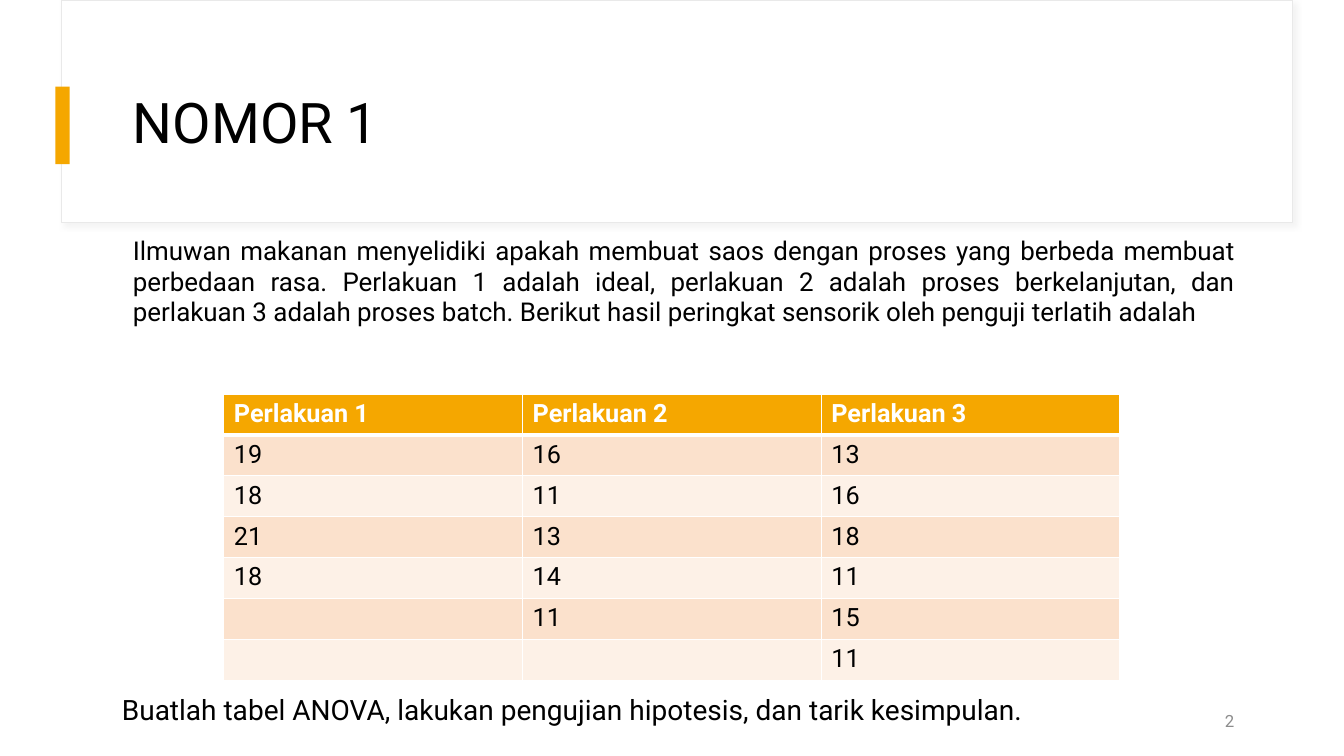
from dataclasses import dataclass

from lxml import etree
from pptx import Presentation
from pptx import util as u
from pptx.dml.color import RGBColor
from pptx.enum import shapes, text
from pptx.oxml import ns


@dataclass(frozen=True)
class Theme:
    """Colours, font and type sizes of the slide."""
    font: str = "Roboto"
    ink: str = "000000"
    paper: str = "FFFFFF"
    accent: str = "F5A700"
    frame: str = "E9E9E9"
    shadow: str = "D9D9D9"
    muted: str = "8C8C8C"
    bands: tuple = ("FBE1CC", "FDF1E7")
    title: float = 40
    body: float = 18.5
    task: float = 20
    cell: float = 18
    number: float = 12


THEME = Theme()
PX = 9144
ROWS = [
    ("Perlakuan 1", "Perlakuan 2", "Perlakuan 3"),
    ("19", "16", "13"),
    ("18", "11", "16"),
    ("21", "13", "18"),
    ("18", "14", "11"),
    ("", "11", "15"),
    ("", "", "11"),
]
QUESTION = (
    "Ilmuwan makanan menyelidiki apakah membuat saos dengan proses yang berbeda "
    "membuat perbedaan rasa. Perlakuan 1 adalah ideal, perlakuan 2 adalah proses "
    "berkelanjutan, dan perlakuan 3 adalah proses batch. Berikut hasil peringkat "
    "sensorik oleh penguji terlatih adalah"
)
TASK = "Buatlah tabel ANOVA, lakukan pengujian hipotesis, dan tarik kesimpulan."


def px(*lengths):
    """Turn whole pixels into EMU."""
    return [u.Emu(length * PX) for length in lengths]


def add_xml(parent, tag, **attributes):
    """Append a drawing element to its parent."""
    return etree.SubElement(parent, ns.qn(tag), attributes)


def style_runs(paragraph, size, color, bold=False):
    """Format every run of a paragraph."""
    for run in paragraph.runs:
        run.font.name = THEME.font
        run.font.size = u.Pt(size)
        run.font.bold = bold
        run.font.color.rgb = RGBColor.from_string(color)


def add_text(slide, box, content, size, color=THEME.ink, align=text.PP_ALIGN.LEFT,
             anchor=text.MSO_ANCHOR.TOP, leading=1.0, before=0, after=0):
    """Add one wrapped paragraph in a box."""
    frame = slide.shapes.add_textbox(*px(*box)).text_frame
    frame.word_wrap = True
    frame.vertical_anchor = anchor
    frame.text = content
    paragraph = frame.paragraphs[0]
    paragraph.alignment = align
    paragraph.line_spacing = leading
    paragraph.space_before = u.Pt(before)
    paragraph.space_after = u.Pt(after)
    style_runs(paragraph, size, color)


def add_rectangle(slide, box, fill, line=None):
    """Add a flat rectangle with an optional outline."""
    shape = slide.shapes.add_shape(shapes.MSO_SHAPE.RECTANGLE, *px(*box))
    shape.shadow.inherit = False
    shape.fill.solid()
    shape.fill.fore_color.rgb = RGBColor.from_string(fill)
    if line:
        shape.line.color.rgb = RGBColor.from_string(line)
        shape.line.width = u.Pt(0.75)
    else:
        shape.line.fill.background()
    return shape


def add_soft_shadow(shape):
    """Give a shape a faint shadow to the lower right."""
    effects = shape._element.spPr.find(ns.qn("a:effectLst"))
    shadow = add_xml(effects, "a:outerShdw", blurRad=str(u.Pt(4)), dist=str(u.Pt(3)),
                     dir="2700000", algn="tl", rotWithShape="0")
    color = add_xml(shadow, "a:srgbClr", val=THEME.shadow)
    add_xml(color, "a:alpha", val="30000")


def add_header(slide, box, title):
    """Add the framed header with its accent bar and title."""
    left, top, width, height = box
    add_soft_shadow(add_rectangle(slide, box, THEME.paper, THEME.frame))
    add_rectangle(slide, (left - 6, top + 86, 14, 77), THEME.accent)
    add_text(slide, (left + 61, top + 60, width - 109, height - 92), title,
             THEME.title, anchor=text.MSO_ANCHOR.MIDDLE, leading=0.9)


def add_borders(cell, bottom):
    """Draw white borders round a cell before its fill is set."""
    properties = cell._tc.get_or_add_tcPr()
    for side, width in (("L", 1), ("R", 1), ("T", 1), ("B", bottom)):
        line = add_xml(properties, f"a:ln{side}", w=str(u.Pt(width)))
        add_xml(add_xml(line, "a:solidFill"), "a:srgbClr", val=THEME.paper)


def add_treatment_table(slide, box, rows):
    """Add the table of rankings with a header and banded rows."""
    table = slide.shapes.add_table(len(rows), len(rows[0]), *px(*box)).table
    for row, values in enumerate(rows):
        header = row == 0
        fill = THEME.accent if header else THEME.bands[(row - 1) % 2]
        for column, value in enumerate(values):
            cell = table.cell(row, column)
            add_borders(cell, 3 if header else 1)
            cell.fill.solid()
            cell.fill.fore_color.rgb = RGBColor.from_string(fill)
            cell.text = value
            paragraph = cell.text_frame.paragraphs[0]
            paragraph.font.size = u.Pt(THEME.cell)
            style_runs(paragraph, THEME.cell, THEME.paper if header else THEME.ink, header)


def build_question_slide(presentation):
    """Build the slide with question, data and task."""
    slide = presentation.slides.add_slide(presentation.slide_layouts[6])
    justify = text.PP_ALIGN.JUSTIFY
    add_header(slide, (61, 0, 1221, 221), "NOMOR 1")
    add_text(slide, (122, 230, 1112, 150), QUESTION, THEME.body,
             align=justify, leading=0.97, before=10, after=8)
    add_text(slide, (934, 695, 300, 40), "2", THEME.number, THEME.muted,
             text.PP_ALIGN.RIGHT, text.MSO_ANCHOR.MIDDLE)
    add_treatment_table(slide, (222, 391, 889, 284), ROWS)
    add_text(slide, (111, 680, 1112, 55), TASK, THEME.task,
             align=justify, leading=1.07, before=10, after=8)


def main():
    """Create and save the presentation."""
    presentation = Presentation()
    presentation.slide_width, presentation.slide_height = px(1333, 750)
    build_question_slide(presentation)
    presentation.save("out.pptx")


if __name__ == "__main__":
    main()
